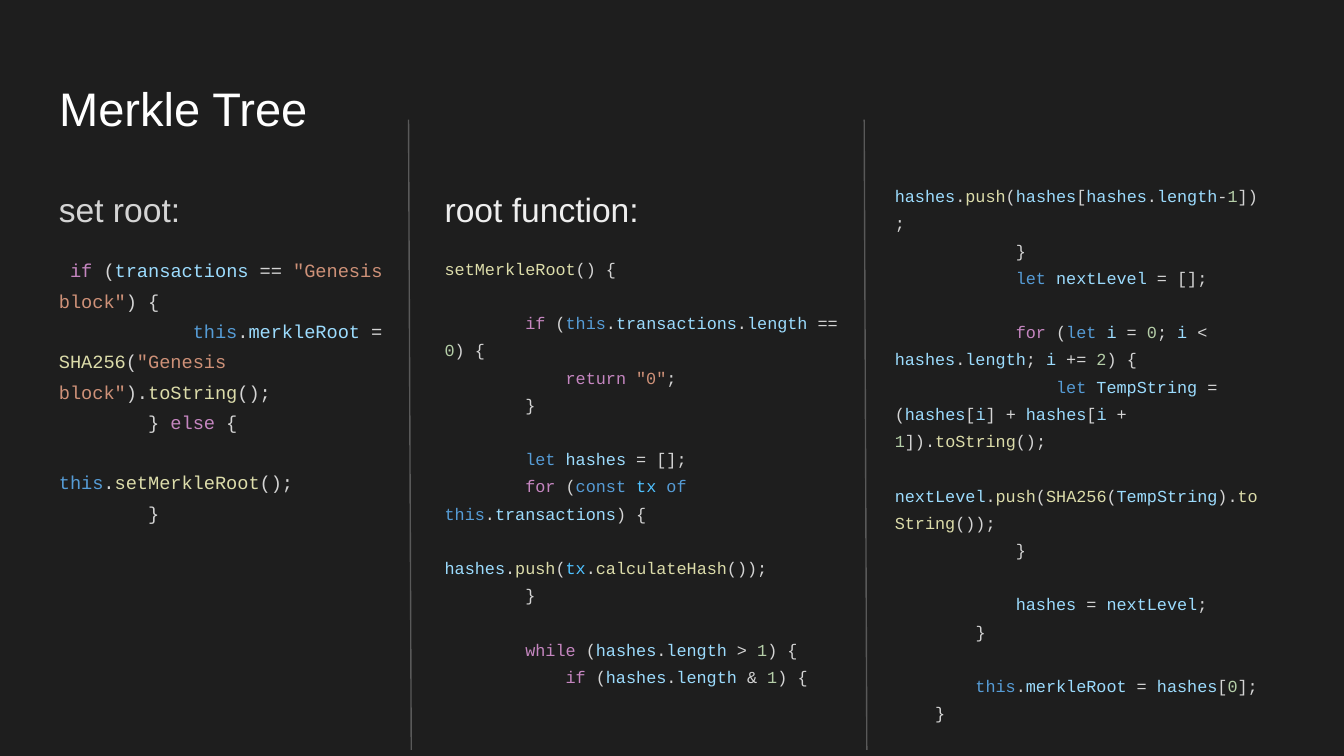
from itertools import groupby

from lxml.etree import SubElement
from pptx import Presentation
from pptx.dml.color import RGBColor
from pptx.enum.shapes import MSO_CONNECTOR
from pptx.enum.text import MSO_ANCHOR, MSO_AUTO_SIZE, PP_ALIGN
from pptx.oxml.ns import qn
from pptx.util import Inches, Pt

DARK = RGBColor(0x1E, 0x1E, 0x1E)
WHITE = RGBColor(0xFF, 0xFF, 0xFF)
PALE = RGBColor(0xEE, 0xEE, 0xEE)
PLAIN = RGBColor(0xD4, 0xD4, 0xD4)
RULE = RGBColor(0x59, 0x59, 0x59)
FLOW = RGBColor(0xC5, 0x86, 0xC0)
WORD = RGBColor(0x56, 0x9C, 0xD6)
CONST = RGBColor(0x4F, 0xC1, 0xFF)
CALL = RGBColor(0xDC, 0xDC, 0xAA)
NAME = RGBColor(0x9C, 0xDC, 0xFE)
NUMBER = RGBColor(0xB5, 0xCE, 0xA8)
STRING = RGBColor(0xCE, 0x91, 0x78)

GROUPS = {
    FLOW: "if else for while return",
    WORD: "let const of this",
    CONST: "tx",
    CALL: "setMerkleRoot SHA256 toString push calculateHash",
}
COLORS = {word: color for color, words in GROUPS.items() for word in words.split()}

SET_ROOT = """ if (transactions == "Genesis block") {
            this.merkleRoot = SHA256("Genesis block").toString();
        } else {
            this.setMerkleRoot();
        }"""

ROOT_START = """setMerkleRoot() {

        if (this.transactions.length == 0) {
            return "0";
        }

        let hashes = [];
        for (const tx of this.transactions) {
            hashes.push(tx.calculateHash());
        }

        while (hashes.length > 1) {
            if (hashes.length & 1) {"""

ROOT_END = """hashes.push(hashes[hashes.length-1]);
            }
            let nextLevel = [];

            for (let i = 0; i < hashes.length; i += 2) {
                let TempString = (hashes[i] + hashes[i + 1]).toString();
                nextLevel.push(SHA256(TempString).toString());
            }

            hashes = nextLevel;
        }

        this.merkleRoot = hashes[0];
    }"""


def tokens(line):
    """Yield each piece of a code line with its syntax colour."""
    for index, part in enumerate(line.split('"')):
        if index % 2:
            yield f'"{part}"', STRING
            continue
        for word, chars in groupby(part, str.isalnum):
            text = "".join(chars)
            if not word:
                yield text, PLAIN
            elif text.isdigit():
                yield text, NUMBER
            else:
                yield text, COLORS.get(text, NAME)


def style(run, font, size, color):
    run.font.name = font
    run.font.size = Pt(size)
    run.font.color.rgb = color


def set_frame(frame):
    frame.word_wrap = True
    frame.auto_size = MSO_AUTO_SIZE.NONE
    frame.vertical_anchor = MSO_ANCHOR.TOP
    frame.margin_left = frame.margin_right = Inches(0.1)
    frame.margin_top = frame.margin_bottom = Inches(0.1)


def add_title(slide, text):
    title = slide.shapes.title
    title.left, title.top = Inches(0.34), Inches(0.49)
    title.width, title.height = Inches(9.32), Inches(0.63)
    frame = title.text_frame
    frame.text = text
    set_frame(frame)
    frame.paragraphs[0].alignment = PP_ALIGN.LEFT
    style(frame.paragraphs[0].runs[0], "Arial", 25.2, WHITE)


def add_box(slide, left, top, width, height):
    box = slide.shapes.add_textbox(
        Inches(left), Inches(top), Inches(width), Inches(height))
    set_frame(box.text_frame)
    return box.text_frame


def add_heading(frame, text, color):
    head = frame.paragraphs[0]
    head.text = text
    head.line_spacing = 1.15
    style(head.runs[0], "Arial", 18, color)


def add_code(frame, code, size, gap=0):
    """Add coloured code; an empty source line becomes space before the next."""
    for line in code.split("\n"):
        if not line:
            gap = size * 1.61
            continue
        para = frame.paragraphs[0]
        if para.runs:
            para = frame.add_paragraph()
        para.line_spacing = 1.35
        para.space_before = Pt(gap)
        gap = 0
        for text, color in tokens(line):
            run = para.add_run()
            run.text = text
            style(run, "Courier New", size, color)


def add_rule(slide, x):
    line = slide.shapes.add_connector(
        MSO_CONNECTOR.STRAIGHT,
        Inches(x + 0.02), Inches(5.58), Inches(x), Inches(0.89))
    line.line.color.rgb = RULE
    line.line.width = Pt(0.75)
    SubElement(line._element.spPr, qn("a:effectLst"))


def main():
    deck = Presentation()
    deck.slide_width = Inches(10)
    deck.slide_height = deck.slide_width * 9 // 16
    slide = deck.slides.add_slide(deck.slide_layouts[5])
    slide.background.fill.solid()
    slide.background.fill.fore_color.rgb = DARK

    add_title(slide, "Merkle Tree")

    first = add_box(slide, 0.34, 1.26, 2.7, 3.74)
    add_heading(first, "set root:", PLAIN)
    add_code(first, SET_ROOT, 10, gap=12)

    second = add_box(slide, 3.21, 1.26, 3.28, 3.95)
    add_heading(second, "root function:", PALE)
    add_code(second, ROOT_START, 9, gap=12)

    third = add_box(slide, 6.56, 1.23, 2.94, 4.43)
    add_code(third, ROOT_END, 9)

    for x in (3.04, 6.43):
        add_rule(slide, x)

    deck.save("out.pptx")


if __name__ == "__main__":
    main()
